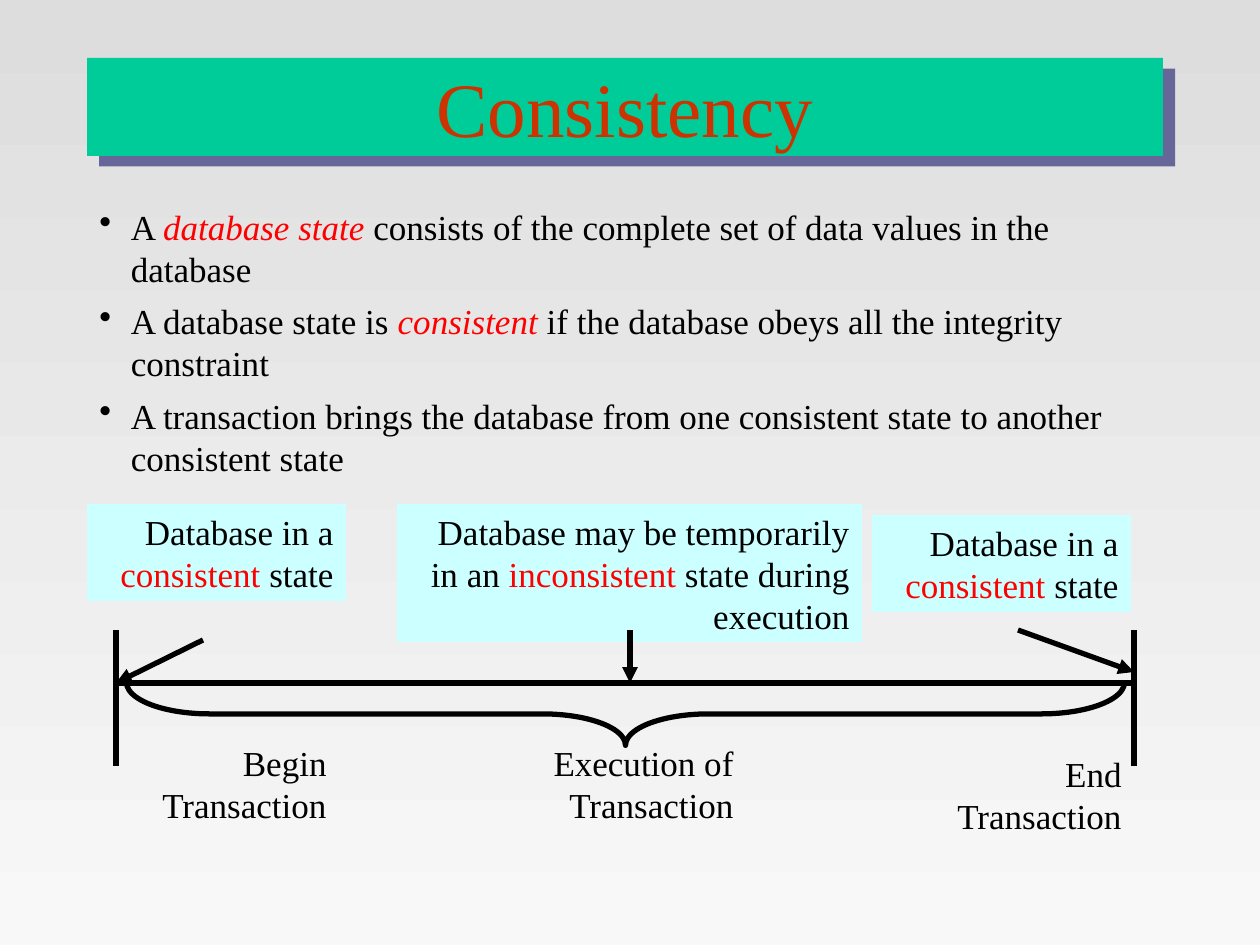
import pptx
import pptx.util
import pptx.dml.color
import pptx.enum.shapes
import pptx.enum.text
import pptx.oxml.ns
import lxml.etree

# Content: text is a list of paragraphs, each a list of (text, style) runs
COLORS = {"black": "000000", "red": "FF0000", "title": "CC3300", "banner": "00CC99",
          "shadow": "666699", "state": "CCFFFF", "top": "DDDDDD", "bottom": "F8F8F8"}
FONT = "Times New Roman"
PLAIN, RED, TERM = {}, {"color": "red"}, {"color": "red", "italic": True}

TITLE = [[("Consistency", {"color": "title"})]]
BULLETS = [
    [("A ", PLAIN), ("database state ", TERM),
     ("consists of the complete set of data values in the database", PLAIN)],
    [("A database state is ", PLAIN), ("consistent ", TERM),
     ("if the database obeys all the integrity constraint", PLAIN)],
    [("A transaction brings the database from one consistent state "
      "to another consistent state", PLAIN)],
]
CONSISTENT = [[("Database in a ", PLAIN), ("consistent", RED), (" state", PLAIN)]]
INCONSISTENT = [[("Database may be temporarily in an ", PLAIN), ("inconsistent", RED),
                 (" state during execution", PLAIN)]]
STATES = [(CONSISTENT, (87, 504, 259, 97)), (INCONSISTENT, (397, 504, 465, 138)),
          (CONSISTENT, (872, 515, 259, 97))]
PHASES = [("Begin Transaction", (126, 735, 213, 97)),
          ("Execution of Transaction", (533, 735, 213, 97)),
          ("End Transaction", (940, 746, 194, 97))]

START, END, TOP, AXIS, BOTTOM = 116, 1134, 630, 683, 766
LINES = [((START, AXIS), (END, AXIS)), ((START, TOP), (START, BOTTOM)),
         ((END, TOP), (END, BOTTOM))]
ARROWS = [((203, 640), (START, AXIS)), ((630, TOP), (630, AXIS)), ((1018, TOP), (END, 672))]

SCALE = 914400 / 126
ALIGN = pptx.enum.text.PP_ALIGN
ANCHOR = pptx.enum.text.MSO_ANCHOR
SHAPE = pptx.enum.shapes.MSO_SHAPE
qn = pptx.oxml.ns.qn


def emu(*pixels):
    return [round(value * SCALE) for value in pixels]


def rgb(name):
    return pptx.dml.color.RGBColor.from_string(COLORS[name])


def write(shape, paragraphs, size=20, align=ALIGN.LEFT, anchor=ANCHOR.TOP, bullet=False):
    frame = shape.text_frame
    frame.word_wrap = True
    frame.vertical_anchor = anchor
    for index, runs in enumerate(paragraphs):
        paragraph = frame.add_paragraph() if index else frame.paragraphs[0]
        paragraph.alignment = align
        if bullet:
            paragraph.space_before = pptx.util.Pt(6)
            properties = paragraph._p.get_or_add_pPr()
            indent = pptx.util.Inches(0.25)
            properties.set("marL", str(indent))
            properties.set("indent", str(-indent))
            lxml.etree.SubElement(properties, qn("a:buChar")).set("char", "•")
        for text, style in runs:
            run = paragraph.add_run()
            run.text = text
            run.font.name = FONT
            run.font.size = pptx.util.Pt(size)
            run.font.italic = style.get("italic", False)
            run.font.color.rgb = rgb(style.get("color", "black"))


def add_box(box, fill):
    shape = slide.shapes.add_shape(SHAPE.RECTANGLE, *emu(*box))
    shape.shadow.inherit = False
    shape.fill.solid()
    shape.fill.fore_color.rgb = rgb(fill)
    shape.line.fill.background()
    return shape


def set_line(shape):
    shape.line.color.rgb = rgb("black")
    shape.line.width = pptx.util.Pt(3)


def add_line(start, end, arrow=False):
    line = slide.shapes.add_connector(
        pptx.enum.shapes.MSO_CONNECTOR.STRAIGHT, *emu(*start, *end))
    set_line(line)
    if arrow:
        lxml.etree.SubElement(line.line._get_or_add_ln(), qn("a:tailEnd")).set("type", "triangle")
    lxml.etree.SubElement(line._element.spPr, qn("a:effectLst"))


presentation = pptx.Presentation()
presentation.slide_width, presentation.slide_height = emu(1260, 945)
slide = presentation.slides.add_slide(presentation.slide_layouts[6])

# Background gradient
background = slide.background.fill
background.gradient()
background.gradient_angle = 270
for stop, name, position in zip(background.gradient_stops, ("top", "bottom"), (0, 1)):
    stop.color.rgb = rgb(name)
    stop.position = position

# Bullets
write(slide.shapes.add_textbox(*emu(87, 199, 1095, 286)), BULLETS, bullet=True)

# Time line, states and arrows
for start, end in LINES:
    add_line(start, end)
for text, box in STATES:
    write(add_box(box, "state"), text, align=ALIGN.RIGHT)
for start, end in ARROWS:
    add_line(start, end, arrow=True)

# Phase labels
for text, box in PHASES:
    write(slide.shapes.add_textbox(*emu(*box)), [[(text, PLAIN)]], align=ALIGN.RIGHT)

# Brace under the time line
brace = slide.shapes.add_shape(SHAPE.LEFT_BRACE, *emu(594, 215, 63, 998))
brace.shadow.inherit = False
brace.fill.background()
set_line(brace)
brace.adjustments[0] = 1.32
brace.adjustments[1] = 0.5
brace.rotation = 270
brace._element.spPr.find(qn("a:xfrm")).set("flipV", "1")

# Title banner with its hard shadow
banner = add_box((87, 58, 1076, 98), "banner")
write(banner, TITLE, size=44, align=ALIGN.CENTER, anchor=ANCHOR.MIDDLE)
shadow = lxml.etree.SubElement(banner._element.spPr.find(qn("a:effectLst")), qn("a:outerShdw"))
for key, value in {"dist": pptx.util.Pt(9.2), "dir": 41 * 60000, "algn": "ctr",
                   "rotWithShape": 0}.items():
    shadow.set(key, str(value))
lxml.etree.SubElement(shadow, qn("a:srgbClr")).set("val", COLORS["shadow"])

presentation.save("out.pptx")
